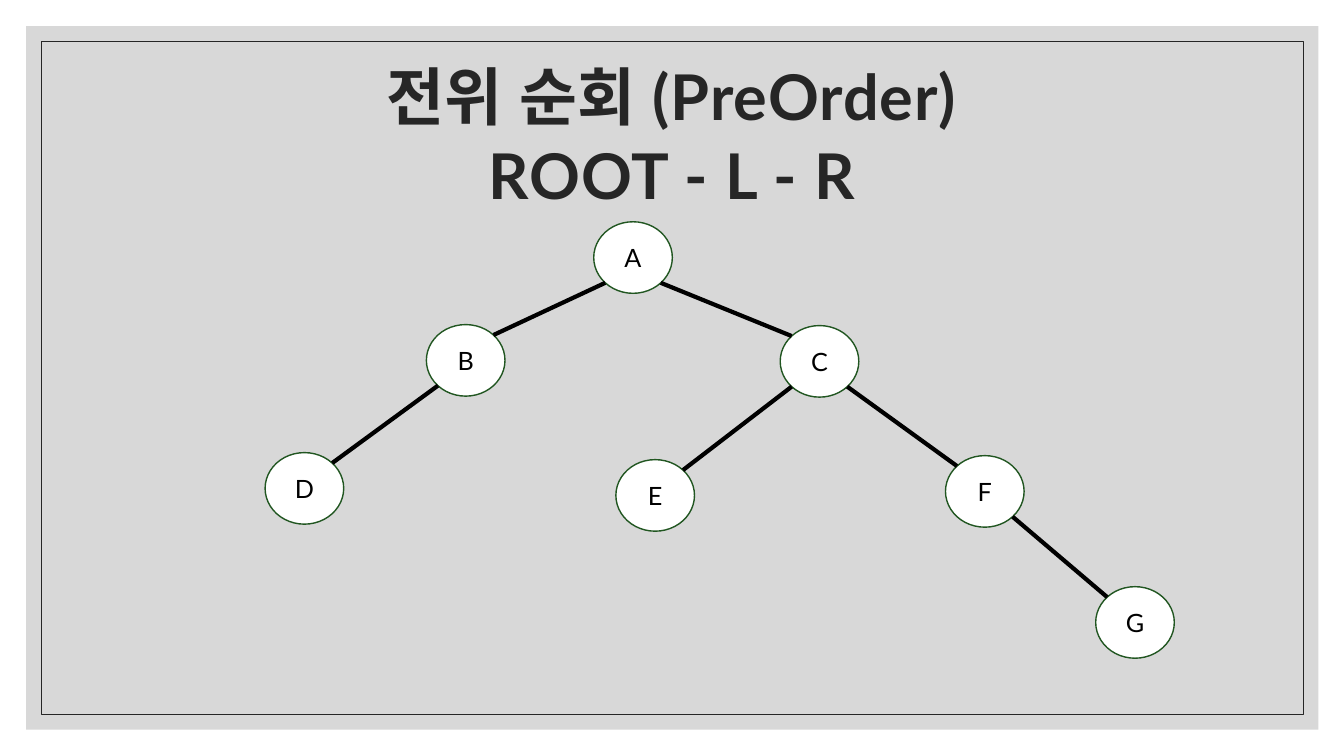
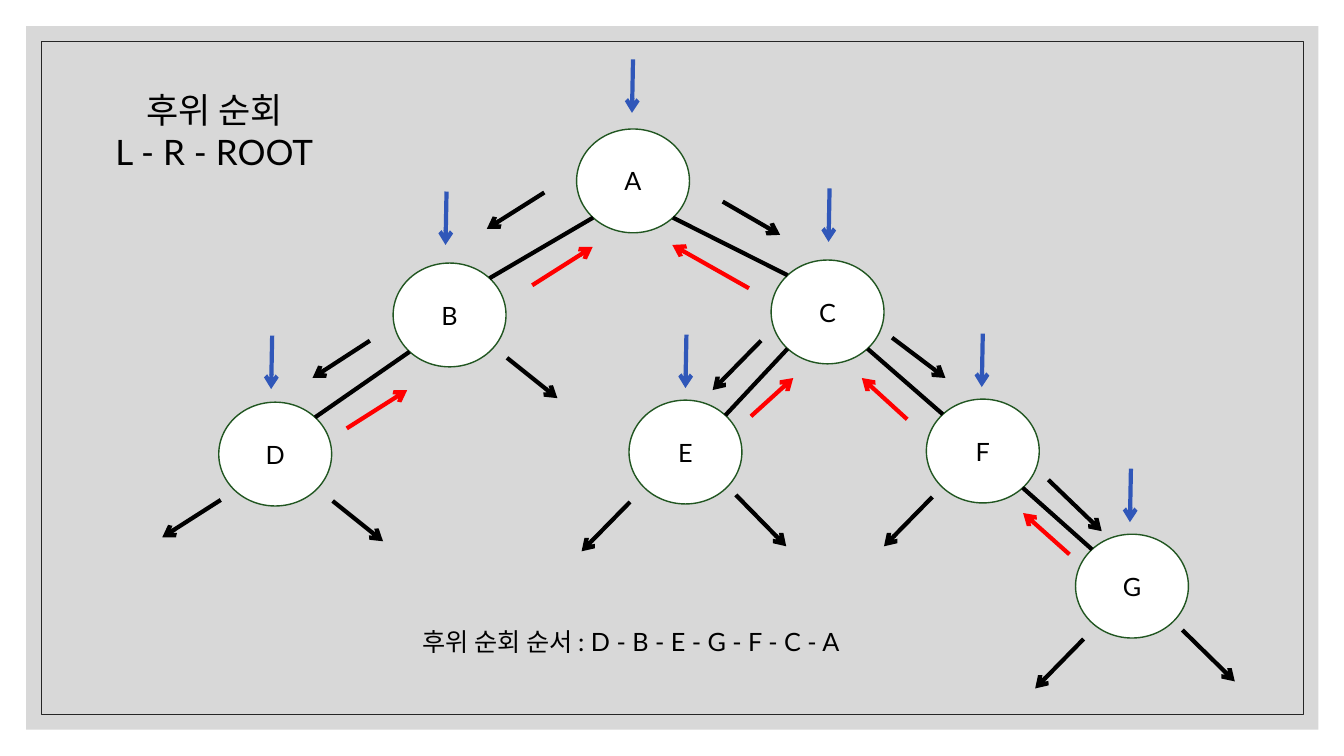
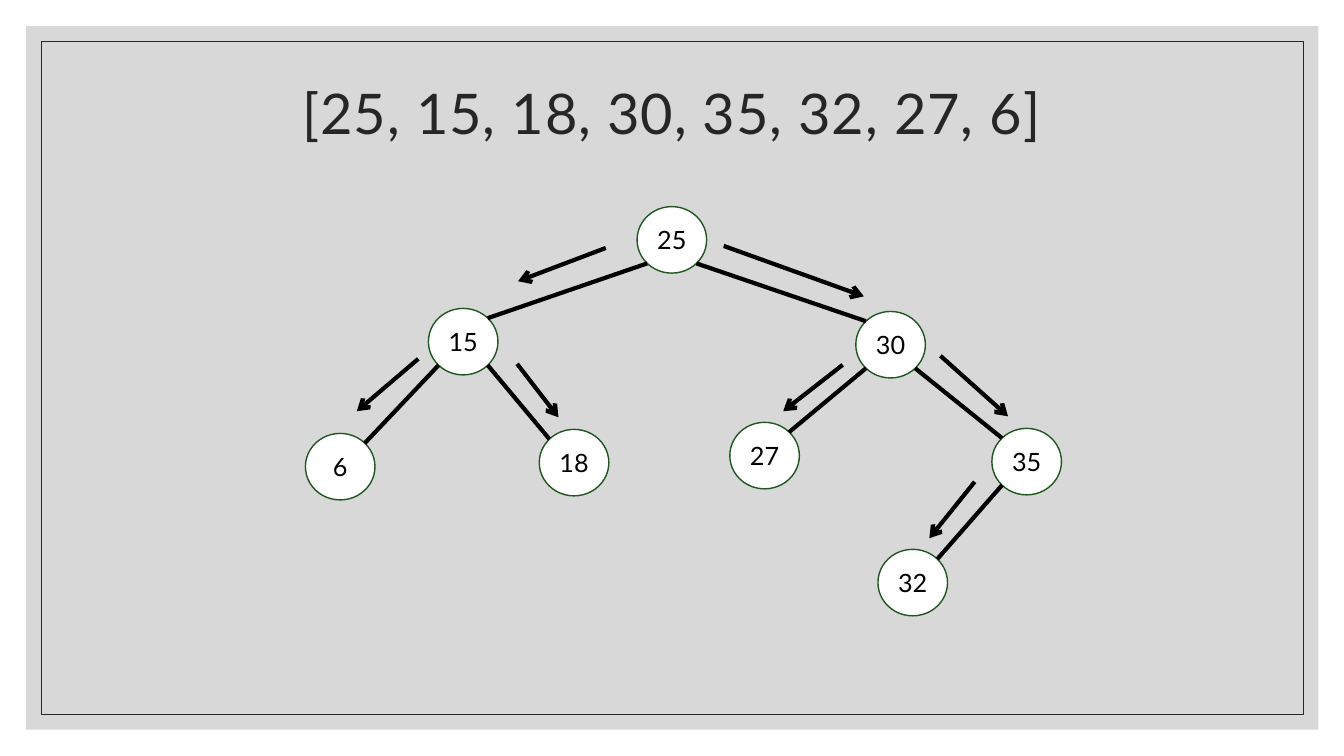
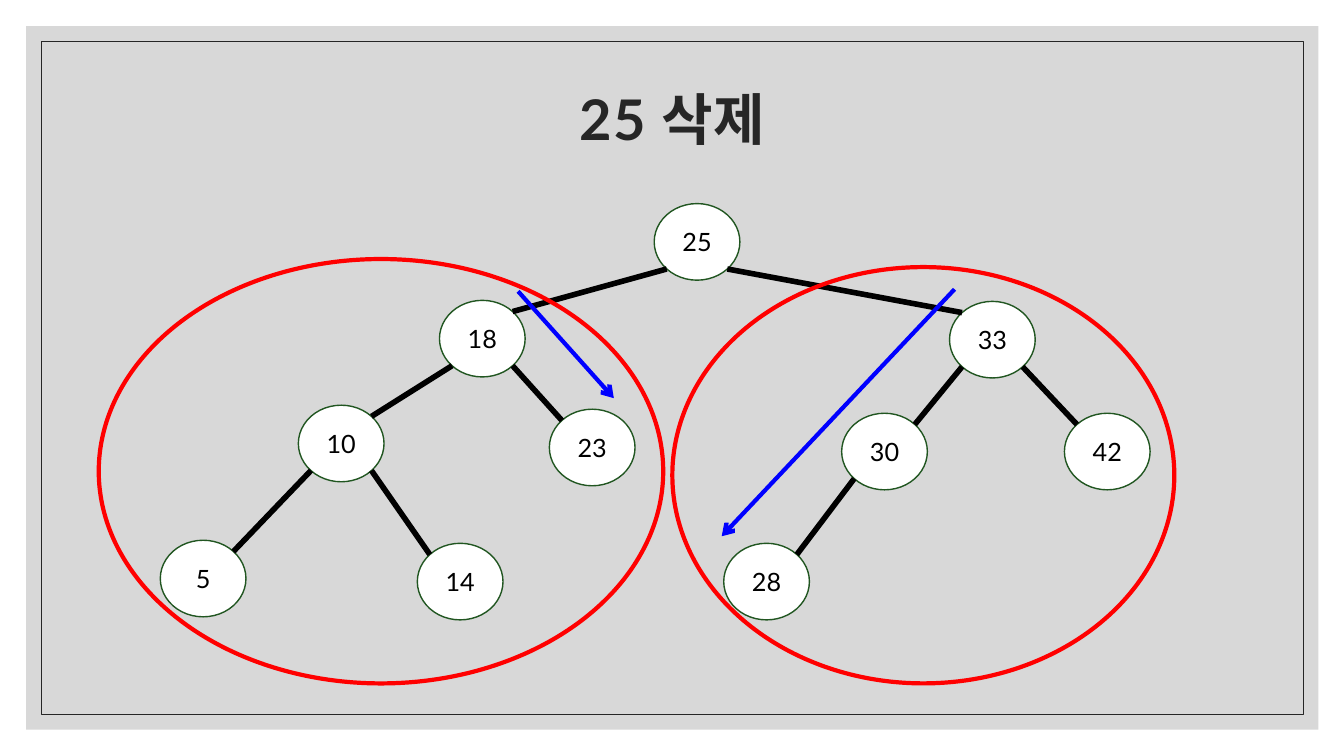
import math
from dataclasses import dataclass

import pptx
import pptx.dml.color
import pptx.enum.shapes
import pptx.enum.text
import pptx.oxml.ns
import pptx.util
from lxml import etree

SHAPE = pptx.enum.shapes.MSO_SHAPE
ALIGN = pptx.enum.text.PP_ALIGN
ANCHOR = pptx.enum.text.MSO_ANCHOR
AUTOSIZE = pptx.enum.text.MSO_AUTO_SIZE
qn = pptx.oxml.ns.qn


@dataclass(frozen=True)
class Theme:
    font: str = "Lato"
    ink: str = "000000"
    title: str = "262626"
    panel: str = "BFBFBF"
    node: str = "FFFFFF"
    node_line: str = "215621"
    visit: str = "3057B9"
    back: str = "FF0000"
    search: str = "0000FF"
    body_size: int = 18
    label_size: int = 25
    title_size: int = 40
    big_title_size: int = 45
    stroke: int = 3
    thick_stroke: int = 4


T = Theme()


# Shared helpers: 100 px to the inch
def px(n):
    return pptx.util.Emu(round(n * 9144))


def rgb(color):
    return pptx.dml.color.RGBColor.from_string(color)


def format_text(tf, size, color=T.ink, align=ALIGN.CENTER, bold=False):
    for p in tf.paragraphs:
        p.alignment = align
        for r in p.runs:
            r.font.name = T.font
            r.font.size = pptx.util.Pt(size)
            r.font.bold = bold
            r.font.color.rgb = rgb(color)


def add_shape(s, kind, box, fill=None, line=None, width=1):
    sp = s.shapes.add_shape(kind, *map(px, box))
    sp.shadow.inherit = False
    if fill:
        sp.fill.solid()
        sp.fill.fore_color.rgb = rgb(fill)
    else:
        sp.fill.background()
    if line:
        sp.line.color.rgb = rgb(line)
        sp.line.width = pptx.util.Pt(width)
    else:
        sp.line.fill.background()
    return sp


def add_line(s, start, end, color=T.ink, width=T.stroke, arrow=False):
    c = s.shapes.add_connector(pptx.enum.shapes.MSO_CONNECTOR.STRAIGHT,
                               *map(px, (*start, *end)))
    c.line.color.rgb = rgb(color)
    c.line.width = pptx.util.Pt(width)
    spPr = c.element.spPr
    if arrow:
        etree.SubElement(spPr.find(qn("a:ln")), qn("a:tailEnd"), type="arrow")
    etree.SubElement(spPr, qn("a:effectLst"))


def add_arrows(s, box, arrows, color=T.ink):
    x, y = box
    for x1, y1, x2, y2 in arrows:
        add_line(s, (x + x1, y + y1), (x + x2, y + y2), color, arrow=True)


def add_title(s, box, text, size=T.title_size, bold=False):
    sp = s.shapes.title
    sp.left, sp.top, sp.width, sp.height = map(px, box)
    tf = sp.text_frame
    tf.paragraphs[0].text = text
    tf.auto_size = AUTOSIZE.NONE
    tf.vertical_anchor = ANCHOR.MIDDLE
    tf.margin_left = tf.margin_top = tf.margin_right = px(12)
    tf.margin_bottom = px(10)
    format_text(tf, size, T.title, bold=bold)
    tf.paragraphs[0].line_spacing = 1.05
    for r in tf.paragraphs[0].runs:
        r.font._element.set("spc", "70")


def add_label(s, box, text, size, align):
    sp = s.shapes.add_textbox(*map(px, box))
    tf = sp.text_frame
    tf.text = text
    tf.word_wrap = False
    tf.auto_size = AUTOSIZE.SHAPE_TO_FIT_TEXT
    format_text(tf, size, align=align)


def add_tree(s, box, node_size, nodes, edges, width=T.stroke):
    """Nodes are {label: (left, top)} in the box; edges are parent-child pairs."""
    x, y = box
    w, h = node_size
    for label, (left, top) in nodes.items():
        sp = add_shape(s, SHAPE.OVAL, (x + left, y + top, w, h),
                       T.node, T.node_line)
        tf = sp.text_frame
        tf.text = label
        tf.margin_left = tf.margin_right = 0
        tf.vertical_anchor = ANCHOR.MIDDLE
        format_text(tf, T.body_size)

    # Edges join the diagonal points of the ellipses
    dx, dy = w / 2 * math.sqrt(0.5), h / 2 * math.sqrt(0.5)
    centre = {k: (x + left + w / 2, y + top + h / 2)
              for k, (left, top) in nodes.items()}
    for parent, child in edges:
        (px1, py1), (cx1, cy1) = centre[parent], centre[child]
        side = dx if cx1 > px1 else -dx
        add_line(s, (px1 + side, py1 + dy), (cx1 - side, cy1 - dy), width=width)


# Panel and frame, kept on the master
def add_frame(prs, s):
    panel = add_shape(s, SHAPE.RECTANGLE, (26, 26, 1282, 698), T.panel)
    color = panel.element.spPr.find(qn("a:solidFill"))[0]
    etree.SubElement(color, qn("a:alpha"), val="60000")
    border = add_shape(s, SHAPE.RECTANGLE, (41, 41, 1252, 668),
                       line=T.title, width=0.5)
    tree = prs.slide_master.shapes.element
    for i, sp in enumerate((panel, border)):
        sp.element.find(".//" + qn("p:cNvPr")).set("id", str(101 + i))
        tree.insert(2 + i, sp.element)


LETTER_EDGES = ("AB", "BD", "AC", "CE", "CF", "FG")


def preorder_slide(s, box):
    add_title(s, (99, 56, 1135, 150), "전위 순회 (PreOrder)\vROOT - L - R",
              T.big_title_size, True)
    nodes = {"A": (389, 20), "B": (223, 122), "D": (63, 249), "C": (574, 123),
             "E": (411, 256), "F": (738, 252), "G": (887, 382)}
    add_tree(s, box, (78, 71), nodes, LETTER_EDGES)


def postorder_slide(s, box):
    nodes = {"A": (472, 78), "B": (290, 211), "D": (117, 349), "C": (665, 208),
             "E": (524, 347), "F": (819, 346), "G": (967, 480)}
    add_tree(s, box, (112, 103), nodes, LETTER_EDGES)

    # Arrivals at each node
    visits = [(528, 9), (343, 140), (170, 283), (723, 137), (581, 282),
              (875, 281), (1022, 415)]
    add_arrows(s, box, [(x, y, x - 1, y + 53) for x, y in visits], T.visit)

    # Steps down, then returns up
    add_arrows(s, box, [
        (440, 141, 383, 177), (267, 288, 210, 325), (119, 446, 61, 483),
        (230, 447, 280, 487), (403, 305, 453, 345), (617, 150, 674, 183),
        (655, 288, 607, 337), (525, 448, 477, 497), (630, 441, 680, 492),
        (785, 285, 838, 325), (825, 443, 777, 492), (940, 426, 993, 477),
        (975, 584, 927, 633), (1073, 575, 1125, 626)])
    add_arrows(s, box, [
        (244, 375, 304, 337), (428, 233, 488, 195), (645, 363, 687, 325),
        (961, 500, 915, 459), (800, 366, 755, 325), (643, 236, 567, 193)],
        T.back)

    x, y = box
    add_label(s, (x + 309, y + 566, 462, 40),
              "후위 순회 순서 : D - B - E - G - F - C - A",
              T.body_size, ALIGN.LEFT)
    add_label(s, (x - 2, y + 33, 229, 93), "후위 순회\nL - R - ROOT",
              T.label_size, ALIGN.CENTER)


def insertion_slide(s, box):
    add_title(s, (117, 34, 1100, 150), "[25, 15, 18, 30, 35, 32, 27, 6]")
    nodes = {"25": (332, 5), "15": (125, 106), "18": (235, 226),
             "30": (549, 109), "35": (684, 225), "32": (571, 345),
             "27": (424, 219), "6": (3, 230)}
    edges = [("25", "15"), ("15", "6"), ("15", "18"), ("25", "30"),
             ("30", "27"), ("30", "35"), ("35", "32")]
    add_tree(s, box, (69, 66), nodes, edges)
    add_arrows(s, box, [
        (301, 46, 214, 79), (115, 156, 54, 208), (213, 161, 254, 214),
        (418, 44, 557, 94), (536, 162, 477, 208), (633, 153, 700, 213),
        (667, 278, 622, 334)])


def deletion_slide(s, box):
    add_title(s, (117, 47, 1100, 134), "25 삭제", bold=True)
    nodes = {"25": (549, 2), "18": (336, 98), "33": (842, 99),
             "10": (196, 202), "23": (445, 206), "30": (735, 210),
             "42": (956, 210), "5": (59, 336), "14": (314, 339),
             "28": (618, 339)}
    edges = [("25", "18"), ("25", "33"), ("18", "10"), ("18", "23"),
             ("33", "30"), ("33", "42"), ("10", "5"), ("10", "14"),
             ("30", "28")]
    add_tree(s, box, (85, 76), nodes, edges, T.thick_stroke)

    # Rings round the two subtrees
    x, y = box
    for left, top, w, h in ((-2, 57, 560, 421), (567, 65, 498, 413)):
        add_shape(s, SHAPE.OVAL, (x + left, y + top, w, h),
                  line=T.back, width=T.stroke)
    add_arrows(s, box, [(414, 89, 509, 195), (847, 87, 616, 332)], T.search)


def main():
    prs = pptx.Presentation()
    prs.slide_width = pptx.util.Inches(40 / 3)
    prs.slide_height = px(750)
    title_only, blank = prs.slide_layouts[5], prs.slide_layouts[6]
    pages = [(preorder_slide, title_only, (200, 200)),
             (postorder_slide, blank, (100, 50)),
             (insertion_slide, title_only, (300, 200)),
             (deletion_slide, title_only, (100, 200))]
    for i, (build, layout, box) in enumerate(pages):
        s = prs.slides.add_slide(layout)
        if i == 0:
            add_frame(prs, s)
        build(s, box)
    prs.save("out.pptx")


if __name__ == "__main__":
    main()
